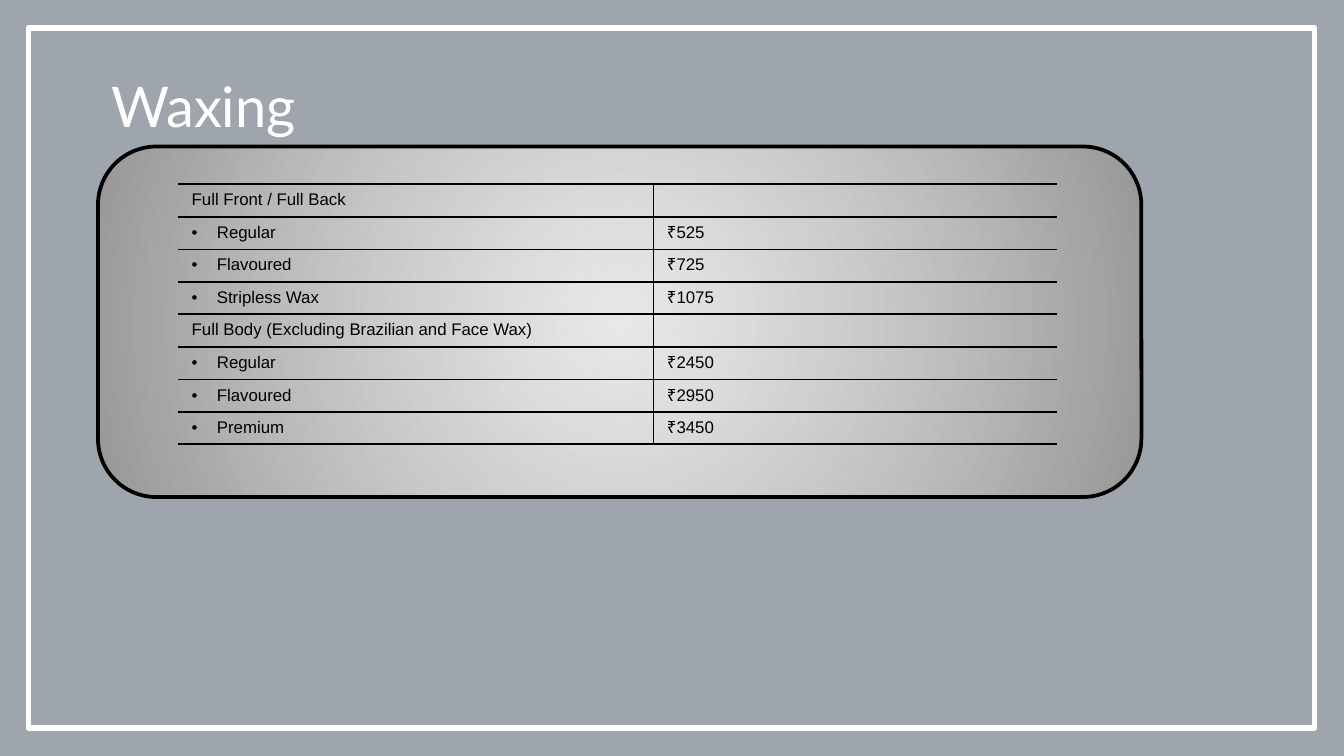
from dataclasses import dataclass

from lxml.etree import SubElement
from pptx import Presentation
from pptx.dml.color import RGBColor
from pptx.enum.shapes import MSO_SHAPE as Shape
from pptx.enum.text import MSO_ANCHOR as Anchor, MSO_AUTO_SIZE as AutoSize, PP_ALIGN as Align
from pptx.oxml import parse_xml
from pptx.oxml.ns import nsdecls, qn
from pptx.util import Pt


@dataclass(frozen=True)
class Theme:
    """Colours, fonts and type sizes of the slide."""
    white: str = "FFFFFF"
    black: str = "000000"
    navy: str = "021526"
    grey: str = "979797"
    title_font: str = "Lato"
    body_font: str = "Arial"
    title_size: float = 30
    body_size: float = 9


THEME = Theme()
WIDTH, HEIGHT = 720, 405
ROW_HEIGHT = 17.33
COLUMN_WIDTHS = (254.6, 216.3)
PRICES = (
    ("Full Front / Full Back", ""),
    ("Regular", "₹525"),
    ("Flavoured", "₹725"),
    ("Stripless Wax", "₹1075"),
    ("Full Body (Excluding Brazilian and Face Wax)", ""),
    ("Regular", "₹2450"),
    ("Flavoured", "₹2950"),
    ("Premium", "₹3450"),
)


def rgb(colour):
    """Turn a hex string into a colour."""
    return RGBColor.from_string(colour)


def write(para, text, *, font, size, colour, bullet=False):
    """Write formatted text into a paragraph, with an optional bullet."""
    para.alignment = Align.LEFT
    if bullet:
        props = para._p.get_or_add_pPr()
        props.set("marL", str(Pt(13.5)))
        props.set("indent", str(-Pt(13.5)))
        bullet_colour = SubElement(props, qn("a:buClr"))
        SubElement(bullet_colour, qn("a:srgbClr"), val=colour)
        SubElement(props, qn("a:buFont"), typeface=font)
        SubElement(props, qn("a:buChar"), char="•")
    if not text:
        SubElement(para._p, qn("a:endParaRPr"), sz=str(int(size * 100)))
        return
    span = para.add_run()
    span.text = text
    span.font.name = font
    span.font.size = Pt(size)
    span.font.color.rgb = rgb(colour)


def add_panel(page, kind, left, top, width, height, *, fill=None, alpha=100, line=None, weight=1):
    """Add a preset shape with an optional fill and outline."""
    panel = page.shapes.add_shape(kind, Pt(left), Pt(top), Pt(width), Pt(height))
    panel.shadow.inherit = False
    if fill:
        panel.fill.solid()
        panel.fill.fore_color.rgb = rgb(fill)
        colour = panel._element.spPr.find(".//" + qn("a:srgbClr"))
        SubElement(colour, qn("a:alpha"), val=str(alpha * 1000))
    else:
        panel.fill.background()
    if line:
        panel.line.color.rgb = rgb(line)
        panel.line.width = Pt(weight)
    else:
        panel.line.fill.background()
    return panel


def glow(panel, inner, outer, alpha):
    """Replace a panel's fill by a radial gradient."""
    props = panel._element.spPr
    gradient = parse_xml(
        f'<a:gradFill {nsdecls("a")} rotWithShape="1"><a:gsLst>'
        f'<a:gs pos="0"><a:srgbClr val="{inner}"><a:alpha val="{alpha * 1000}"/></a:srgbClr></a:gs>'
        f'<a:gs pos="100000"><a:srgbClr val="{outer}"/></a:gs></a:gsLst>'
        '<a:path path="circle"><a:fillToRect l="50000" t="50000" r="50000" b="50000"/></a:path>'
        '</a:gradFill>')
    props.replace(props.find(qn("a:noFill")), gradient)


def set_borders(cell, visible):
    """Draw the visible sides of a cell and hide the others."""
    props = cell._tc.get_or_add_tcPr()
    for index, side in enumerate("LRTB"):
        paint = (f'<a:solidFill><a:srgbClr val="{THEME.black}"/></a:solidFill>'
                 if side in visible else "<a:noFill/>")
        props.insert(index, parse_xml(
            f'<a:ln{side} {nsdecls("a")} w="{Pt(1)}">{paint}</a:ln{side}>'))


def add_price_table(page, left, top):
    """Add the price list as a table ruled between rows and columns."""
    frame = page.shapes.add_table(len(PRICES), len(COLUMN_WIDTHS), Pt(left), Pt(top),
                                  Pt(sum(COLUMN_WIDTHS)), Pt(ROW_HEIGHT * len(PRICES)))
    table = frame.table
    table.first_row = table.horz_banding = False
    for column, width in zip(table.columns, COLUMN_WIDTHS):
        column.width = Pt(width)
    for row, values in enumerate(PRICES):
        table.rows[row].height = Pt(ROW_HEIGHT)
        for col, text in enumerate(values):
            cell = table.cell(row, col)
            cell.margin_top = cell.margin_bottom = Pt(3.4)
            cell.fill.background()
            set_borders(cell, "LTB" if col else "RTB")
            write(cell.text_frame.paragraphs[0], text, font=THEME.body_font,
                  size=THEME.body_size, colour=THEME.black,
                  bullet=col == 0 and bool(values[1]))


def place_title(page, text, left, top, width, height):
    """Move the title placeholder to the front and write its text."""
    title = page.shapes.title
    title.left, title.top, title.width, title.height = map(Pt, (left, top, width, height))
    box = title.text_frame
    box.word_wrap = True
    box.auto_size = AutoSize.SHAPE_TO_FIT_TEXT
    box.vertical_anchor = Anchor.TOP
    write(box.paragraphs[0], text, font=THEME.title_font,
          size=THEME.title_size, colour=THEME.white)
    title._element.getparent().append(title._element)


def main():
    """Build the waxing price slide."""
    deck = Presentation()
    deck.slide_width, deck.slide_height = Pt(WIDTH), Pt(HEIGHT)
    page = deck.slides.add_slide(deck.slide_layouts[5])
    page.background.fill.solid()
    page.background.fill.fore_color.rgb = rgb(THEME.white)
    add_panel(page, Shape.RECTANGLE, 0, 0, WIDTH, HEIGHT + 1, fill=THEME.navy, alpha=38)
    add_panel(page, Shape.RECTANGLE, 15.2, 15, 689, 375, line=THEME.white, weight=3)
    card = add_panel(page, Shape.ROUNDED_RECTANGLE, 52.5, 78.5, 559, 187.8,
                     line=THEME.black, weight=2)
    glow(card, THEME.white, THEME.grey, 75)
    add_price_table(page, 95.5, 98.6)
    place_title(page, "Waxing", 52.5, 34.6, 304.5, 44)
    deck.save("out.pptx")


if __name__ == "__main__":
    main()
